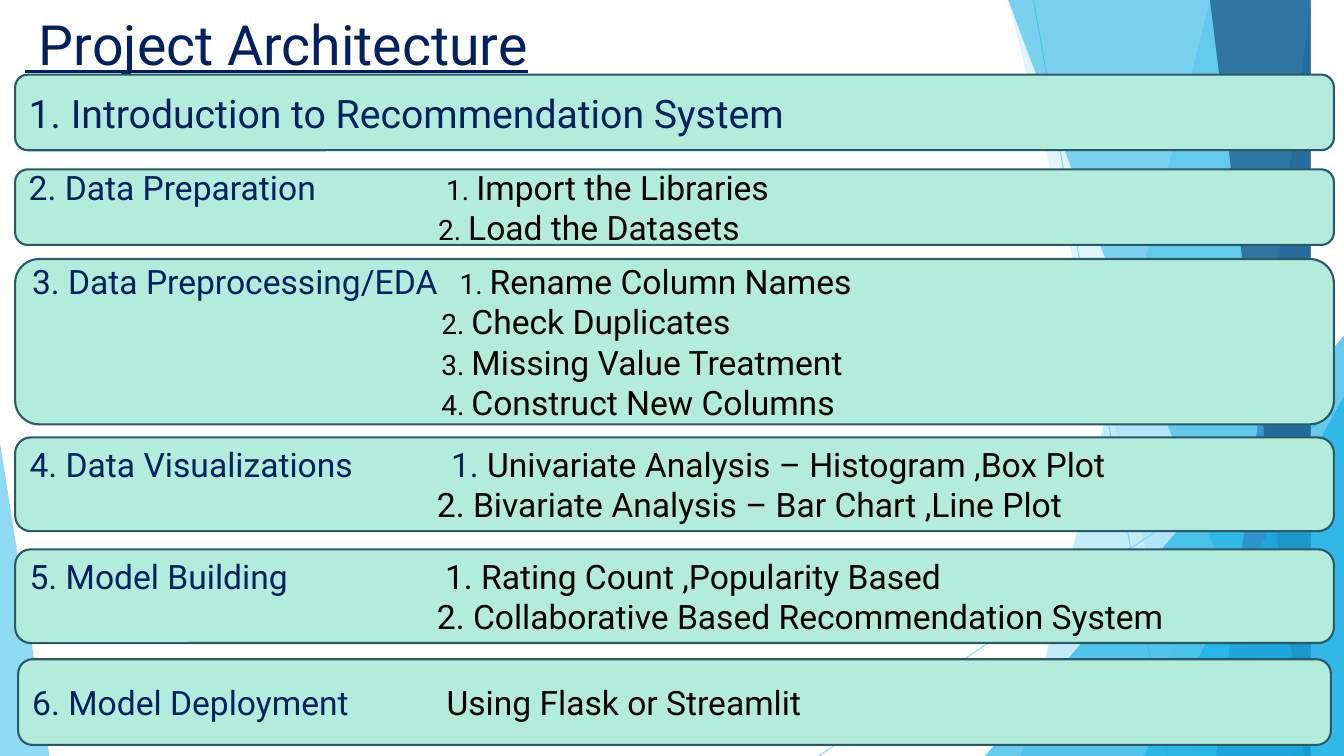
from dataclasses import dataclass

import pptx
import pptx.dml.color
import pptx.enum.shapes
import pptx.enum.text
import pptx.oxml
import pptx.oxml.ns
import pptx.util
from lxml import etree

Inches, Pt = pptx.util.Inches, pptx.util.Pt
rgb = pptx.dml.color.RGBColor.from_string
qn = pptx.oxml.ns.qn
SHAPES = pptx.enum.shapes.MSO_SHAPE
ALIGN = pptx.enum.text.PP_ALIGN
ANCHOR = pptx.enum.text.MSO_ANCHOR


@dataclass(frozen=True)
class Theme:
    font: str = "Roboto"
    navy: str = "002060"
    black: str = "000000"
    mint: str = "B3ECDA"
    teal: str = "2A5969"
    sky: str = "5FCBEF"
    cyan: str = "17B0E4"
    blue: str = "2E83C3"
    deep_blue: str = "226292"
    title_size: float = 39.6
    lead_size: int = 28
    body_size: int = 24
    number_size: int = 20


theme = Theme()


def set_opacity(shape, percent):
    for color in shape._element.xpath(".//p:spPr//a:srgbClr"):
        etree.SubElement(color, qn("a:alpha")).set("val", str(percent * 1000))


def add_run(paragraph, text, color, size):
    run = paragraph.add_run()
    run.text = text
    run.font.size = Pt(size)
    run.font.color.rgb = rgb(color)


presentation = pptx.Presentation()
presentation.slide_width = Inches(13.33)
presentation.slide_height = Inches(7.5)
slide = presentation.slides.add_slide(presentation.slide_layouts[5])

# Backdrop: thin crossing lines
for x1, y1, x2, y2 in [(10.25, 0, 11.58, 7.5), (13.33, 4.03, 8.12, 7.5)]:
    ray = slide.shapes.add_connector(
        pptx.enum.shapes.MSO_CONNECTOR.STRAIGHT,
        Inches(x1), Inches(y1), Inches(x2), Inches(y2))
    ray.line.color.rgb = rgb(theme.sky)
    ray.line.width = Pt(0.75)
    set_opacity(ray, 70)
    etree.SubElement(ray._element.spPr, qn("a:effectLst"))

# Backdrop: wedges (top x, bottom x) run to the right edge,
# triangles (left, top, width, apex) stand on the bottom edge
facets = [
    ((12.28, 10.04), theme.sky, 36),
    ((10.5, 11.83), theme.sky, 20),
    ((9.77, 3.33, 3.56, 1), theme.cyan, 66),
    ((10.21, 12.91), theme.cyan, 50),
    ((13.03, 11.92), theme.blue, 70),
    ((11.96, 13.18), theme.deep_blue, 80),
    ((11.34, 3.93, 1.99, 1), theme.cyan, 66),
    ((0, 4.39, 0.49, 0), theme.sky, 70),
]
for geometry, color, opacity in facets:
    if len(geometry) == 2:
        top_x, bottom_x = geometry
        outline = slide.shapes.build_freeform(top_x, -0.01, scale=Inches(1))
        outline.add_line_segments([(13.33, -0.01), (13.33, 7.5), (bottom_x, 7.5)])
        facet = outline.convert_to_shape()
    else:
        left, top, width, apex = geometry
        facet = slide.shapes.add_shape(
            SHAPES.ISOSCELES_TRIANGLE,
            Inches(left), Inches(top), Inches(width), Inches(7.5 - top))
        facet.adjustments[0] = apex
    facet.fill.solid()
    facet.fill.fore_color.rgb = rgb(color)
    facet.line.fill.background()
    facet.shadow.inherit = False
    set_opacity(facet, opacity)

# Title
title = slide.shapes.title
title.left, title.top = Inches(0.15), Inches(0)
title.width, title.height = Inches(13.02), Inches(0.55)
title_frame = title.text_frame
title_frame.text = " Project Architecture"
title_frame.auto_size = pptx.enum.text.MSO_AUTO_SIZE.NONE
title_frame.vertical_anchor = ANCHOR.TOP
title_frame.margin_top = Inches(0.1)
heading = title_frame.paragraphs[0]
heading.alignment = ALIGN.LEFT
heading.font.name = theme.font
heading.font.size = Pt(theme.title_size)
heading.font.color.rgb = rgb(theme.navy)
heading.font.underline = True

# Stages: left, top, width, height, corner, heading, heading size,
# first number's colour, number size, tab of first step, tab of later steps, steps
body, small = theme.body_size, theme.number_size
stages = [
    (0.15, 0.74, 13.08, 0.75, 0.167, "1. Introduction to Recommendation System",
     theme.lead_size, theme.black, body, 0, 0, []),
    (0.15, 1.68, 13.08, 0.75, 0.167, "2. Data Preparation",
     body, theme.black, small, 4.14, 4.06,
     [("1. ", "Import the Libraries"), ("2. ", "Load the Datasets")]),
    (0.15, 2.57, 13.08, 1.64, 0.145, "3. Data Preprocessing/EDA",
     body, theme.black, small, 4.24, 4.06,
     [("1. ", "Rename Column Names"), ("2. ", "Check Duplicates"),
      ("3. ", "Missing Value Treatment"), ("4. ", "Construct New Columns")]),
    (0.15, 4.34, 13.08, 0.93, 0.167, "4. Data Visualizations",
     body, theme.navy, body, 4.18, 4.04,
     [("1. ", "Univariate Analysis – Histogram ,Box Plot"),
      ("2. ", "Bivariate Analysis – Bar Chart ,Line Plot")]),
    (0.15, 5.45, 13.08, 0.93, 0.167, "5. Model Building",
     body, theme.black, body, 4.12, 4.04,
     [("1. ", "Rating Count ,Popularity Based"),
      ("2. ", "Collaborative Based Recommendation System")]),
    (0.18, 6.54, 13.02, 0.85, 0.167, "6. Model Deployment",
     body, theme.black, body, 4.11, 0, [("", "Using Flask or Streamlit")]),
]
for (left, top, width, height, corner, name, name_size,
     first_color, number_size, first_tab, later_tab, steps) in stages:
    card = slide.shapes.add_shape(
        SHAPES.ROUNDED_RECTANGLE,
        Inches(left), Inches(top), Inches(width), Inches(height))
    card.adjustments[0] = corner
    card.fill.solid()
    card.fill.fore_color.rgb = rgb(theme.mint)
    card.line.color.rgb = rgb(theme.teal)
    card.line.width = Pt(1.5)
    card.shadow.inherit = False
    frame = card.text_frame
    frame.word_wrap = True
    frame.vertical_anchor = ANCHOR.MIDDLE

    line = frame.paragraphs[0]
    line.alignment = ALIGN.LEFT
    line.font.name = theme.font
    add_run(line, name, theme.navy, name_size)

    for index, (number, step) in enumerate(steps):
        if index:
            line = frame.add_paragraph()
            line.alignment = ALIGN.LEFT
            line.font.name = theme.font
        # The tab stop goes ahead of the paragraph's font properties
        tabs = etree.Element(qn("a:tabLst"))
        stop = etree.SubElement(tabs, qn("a:tab"))
        stop.set("pos", str(Inches(later_tab if index else first_tab)))
        stop.set("algn", "l")
        line._p.get_or_add_pPr().insert(0, tabs)
        add_run(line, "\t" + number, theme.black if index else first_color, number_size)
        add_run(line, step, theme.black, body)

presentation.save("out.pptx")
